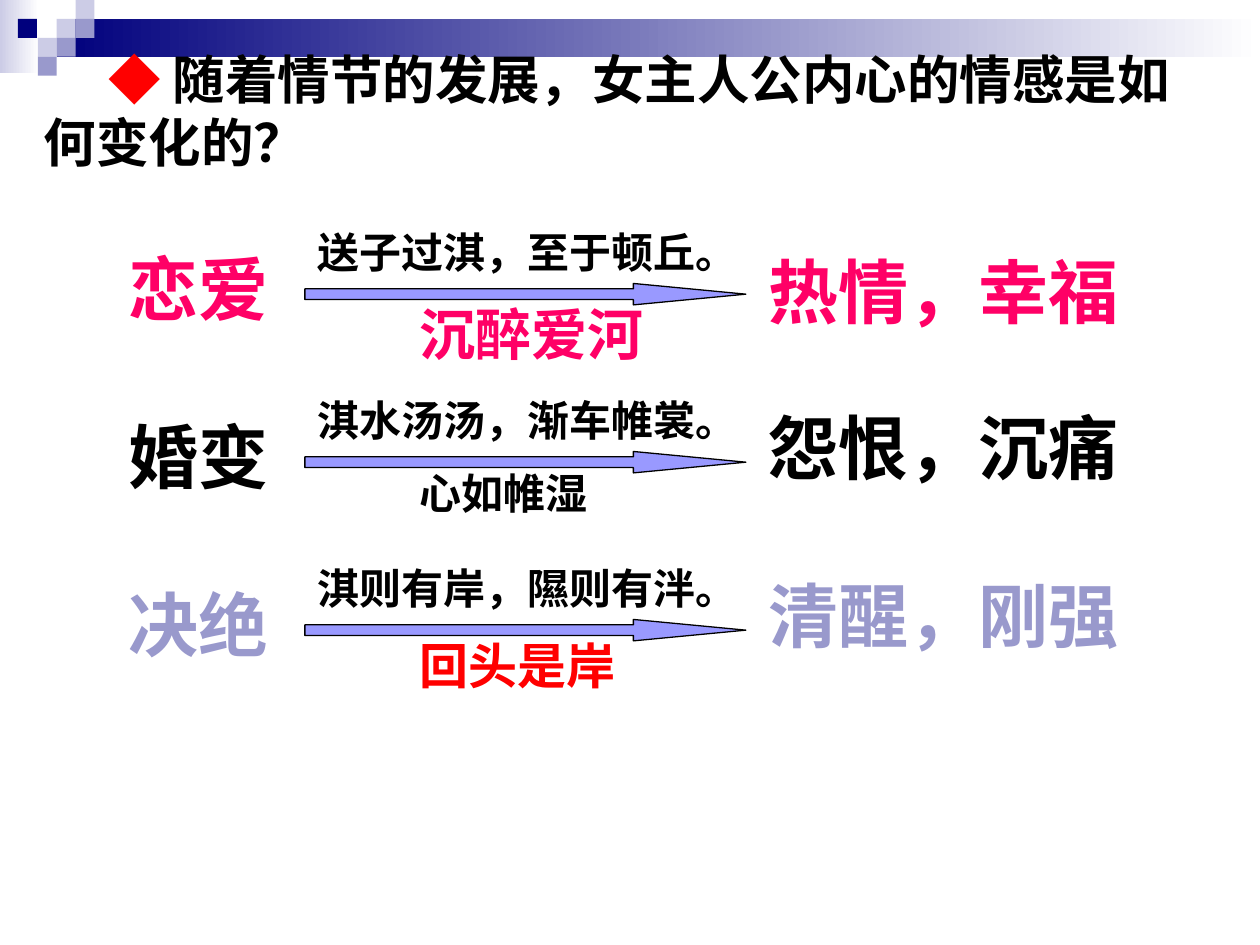
from pptx import Presentation
from pptx.dml.color import RGBColor
from pptx.enum.shapes import MSO_SHAPE
from pptx.enum.text import MSO_ANCHOR
from pptx.oxml.ns import qn
from pptx.util import Inches, Pt

RECT = MSO_SHAPE.RECTANGLE
ARROW = MSO_SHAPE.RIGHT_ARROW
MIDDLE = MSO_ANCHOR.MIDDLE
LATIN, ASIAN = "Arial", "Noto Sans CJK SC"
BLACK, RED, PINK, LILAC = "000000", "FF0000", "FF0066", "9999CC"
NAVY, PALE, WHITE = "00007D", "CCCCE6", "FFFFFF"


def color(code):
    return RGBColor.from_string(code)


def add_shape(slide, kind, box, fill, line=None):
    shape = slide.shapes.add_shape(kind, *map(Inches, box))
    shape.shadow.inherit = False
    if isinstance(fill, tuple):
        shape.fill.gradient()
        shape.fill.gradient_angle = 0
        for stop, code in zip(shape.fill.gradient_stops, fill):
            stop.color.rgb = color(code)
    else:
        shape.fill.solid()
        shape.fill.fore_color.rgb = color(fill)
    if line:
        shape.line.color.rgb = color(line)
        shape.line.width = Pt(0.75)
    else:
        shape.line.fill.background()
    return shape


def add_run(para, text, size, code):
    run = para.add_run()
    run.text = text
    form = {"name": LATIN, "size": Pt(size), "bold": True}
    for key, value in form.items():
        setattr(run.font, key, value)
    run.font.color.rgb = color(code)
    asian = run.font._element.makeelement(qn("a:ea"), {"typeface": ASIAN})
    run.font._element.find(qn("a:latin")).addnext(asian)


def add_text(slide, box, paras, gap=0, wrap=True):
    """Each paragraph is a list of (text, size, colour) runs."""
    frame = slide.shapes.add_textbox(*map(Inches, box)).text_frame
    frame.word_wrap = wrap
    for i, runs in enumerate(paras):
        para = frame.add_paragraph() if i else frame.paragraphs[0]
        if i:
            para.space_before = Pt(gap)
        for run in runs:
            add_run(para, *run)
    return frame


def add_banner(slide, left, top, width):
    # Fading bars
    add_shape(slide, RECT, (left, top, 0.31, 0.58), (PALE, WHITE))
    add_shape(slide, RECT, (left + 0.45, top + 0.15, width - 0.45, 0.3),
              (NAVY, WHITE))
    # Small squares, by column and row
    side = 0.15
    tiles = [(3, 1, PALE), (4, 0, PALE), (4, 1, LILAC), (2, 2, PALE),
             (0.95, 1, NAVY), (3, 2, LILAC), (2, 3, LILAC)]
    for col, row, code in tiles:
        add_shape(slide, RECT,
                  (left + col * side, top + row * side, side, side), code)


def add_title(slide, box):
    runs = [("◆ ", 30, RED),
            ("随着情节的发展，女主人公内心的情感是如何变化的？", 30, BLACK)]
    frame = add_text(slide, box, [runs])
    frame.vertical_anchor = MIDDLE
    props = frame.paragraphs[0]._p.get_or_add_pPr()
    props.set("indent", str(Inches(0.51)))


def add_stages(slide, box):
    stages = [("恋爱", PINK), ("婚变", BLACK), ("决绝", LILAC)]
    add_text(slide, box, [[(text, 40, code)] for text, code in stages], gap=48)


def add_step(slide, left, top, quote, note, mood, drop):
    # Quoted line, note below it and resulting mood
    add_text(slide, (left, top, 3.58, 0.5), [[(quote, 24, BLACK)]])
    add_text(slide, (left + 0.81, top + 0.58, 2.28, 0.57), [[note]],
             wrap=False)
    text, code = mood
    add_text(slide, (left + 3.58, top + drop, 4, 0.77), [[(text, 40, code)]])
    # Arrow from stage to mood
    arrow = add_shape(slide, ARROW, (left, top + 0.5, 3.5, 0.17),
                      "9999FF", BLACK)
    arrow.adjustments[0] = 0.5
    arrow.adjustments[1] = 5.25


def add_steps(slide, left, top, height):
    steps = [
        ("送子过淇，至于顿丘。", ("沉醉爱河", 32, PINK),
         ("热情，幸福", PINK), 0.17),
        ("淇水汤汤，渐车帷裳。", ("心如帷湿", 24, BLACK),
         ("怨恨，沉痛", BLACK), 0.08),
        ("淇则有岸，隰则有泮。", ("回头是岸", 28, RED),
         ("清醒，刚强", LILAC), 0.08),
    ]
    for i, step in enumerate(steps):
        add_step(slide, left, top + i * height / len(steps), *step)


def main():
    deck = Presentation()
    deck.slide_width, deck.slide_height = Inches(10), Inches(7.5)
    slide = deck.slides.add_slide(deck.slide_layouts[6])
    add_banner(slide, 0, 0, 10)
    add_title(slide, (0.25, 0.25, 9.42, 1.25))
    add_stages(slide, (0.92, 1.9, 1.92, 3.44))
    add_steps(slide, 2.42, 1.75, 4)
    deck.save("out.pptx")


if __name__ == "__main__":
    main()
